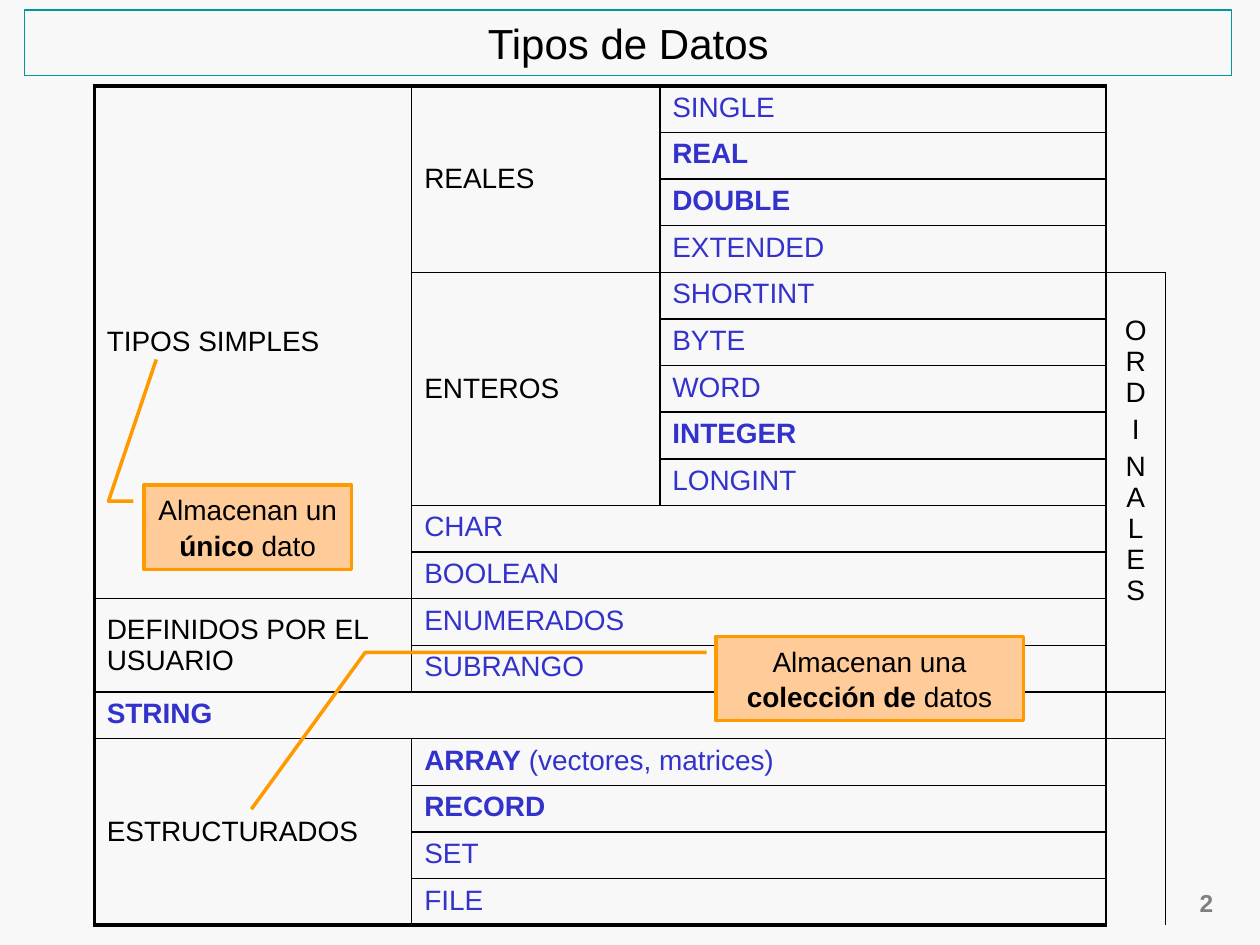
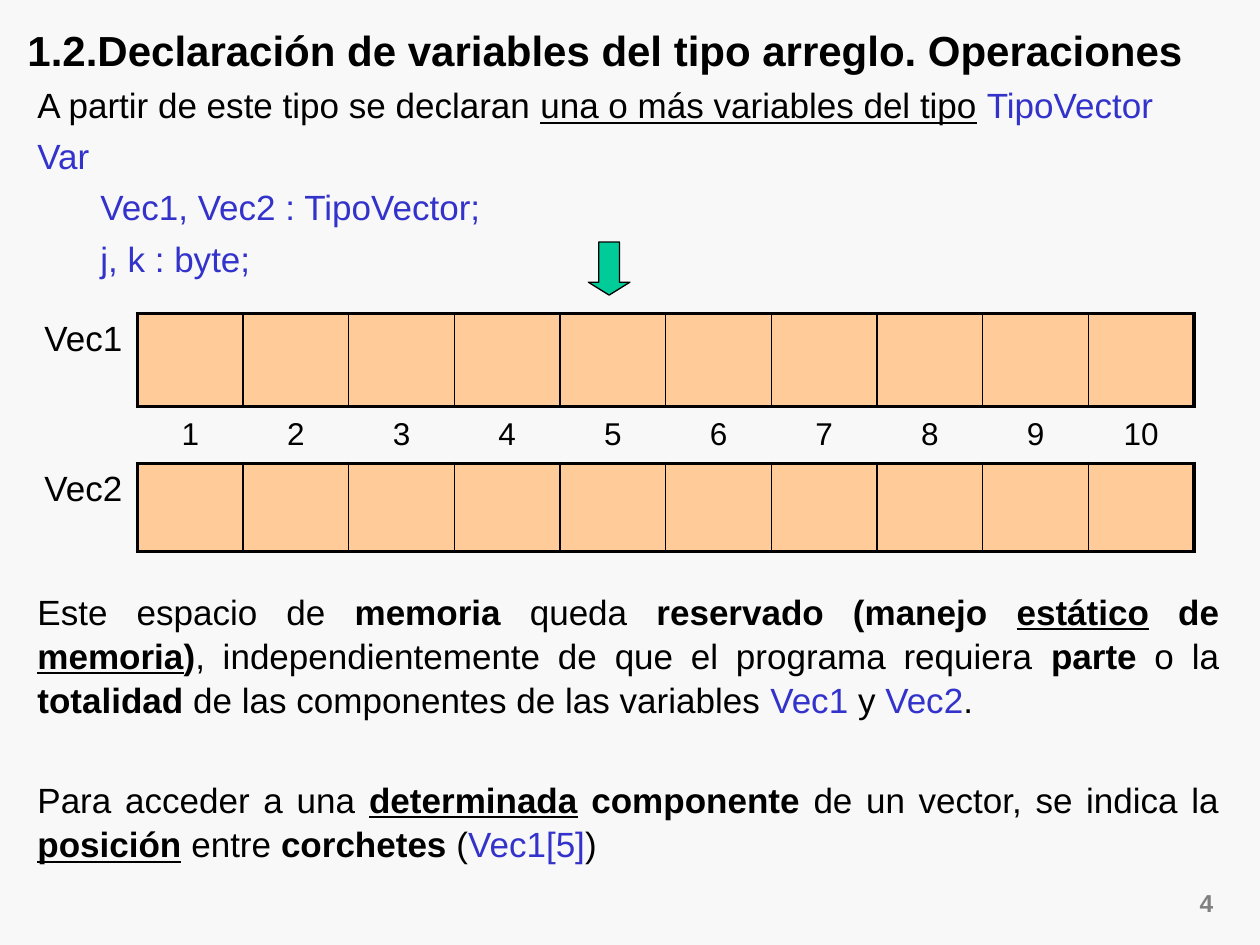
from lxml import etree
from pptx import Presentation, util as u
from pptx.dml.color import RGBColor
from pptx.enum import shapes, text
from pptx.oxml import ns

PAPER = RGBColor(0xF8, 0xF8, 0xF8)
BLACK = RGBColor(0x00, 0x00, 0x00)
GREY = RGBColor(0x80, 0x80, 0x80)
CODE = RGBColor(0x33, 0x33, 0xCC)
TEAL = RGBColor(0x00, 0x99, 0x99)
PEACH = RGBColor(0xFF, 0xCC, 0x99)
ORANGE = RGBColor(0xFF, 0x99, 0x00)
GREEN = RGBColor(0x00, 0xCC, 0x99)

FONT = "Arial"
THIN, THICK = 1, 2.25
PLAIN_TABLE = "{2D5ABB26-0587-4C30-8999-92F81FD0307C}"
LEFT, CENTER, RIGHT, JUSTIFY = (
    text.PP_ALIGN.LEFT, text.PP_ALIGN.CENTER, text.PP_ALIGN.RIGHT, text.PP_ALIGN.JUSTIFY)
TOP, MIDDLE = text.MSO_ANCHOR.TOP, text.MSO_ANCHOR.MIDDLE


def box(*lengths):
    return [u.Cm(length) for length in lengths]


class Deck:
    def __init__(self):
        self.prs = Presentation()
        self.prs.slide_width, self.prs.slide_height = box(25.4, 19.05)
        background = self.prs.slide_master.background.fill
        background.solid()
        background.fore_color.rgb = PAPER
        self.slide = None

    def new_slide(self, layout, number):
        self.slide = self.prs.slides.add_slide(self.prs.slide_layouts[layout])
        page = self.slide.shapes.add_textbox(*box(23.06, 17.78, 1.65, 0.84))
        page.text_frame.word_wrap = True
        self.add_runs(page.text_frame.paragraphs[0], [(number, "b")], 14, RIGHT, color=GREY)

    def add_runs(self, paragraph, runs, size, align=LEFT, color=BLACK, spacing=None, before=None):
        paragraph.alignment = align
        paragraph.space_before = u.Pt(round(size * 0.2, 1) if before is None else before)
        if spacing:
            paragraph.line_spacing = spacing
        for words, marks in runs:
            run = paragraph.add_run()
            run.text = words
            font = run.font
            font.name, font.size = FONT, u.Pt(size)
            font.bold, font.underline = "b" in marks, "u" in marks
            font.color.rgb = CODE if "c" in marks else color

    def place(self, placeholder, area, anchor):
        placeholder.left, placeholder.top, placeholder.width, placeholder.height = box(*area)
        frame = placeholder.text_frame
        frame.auto_size = text.MSO_AUTO_SIZE.NONE
        frame.word_wrap = True
        frame.vertical_anchor = anchor
        return frame

    def title(self, words, area, marks="", align=LEFT, anchor=TOP, outline=None):
        heading = self.slide.shapes.title
        frame = self.place(heading, area, anchor)
        self.add_runs(frame.paragraphs[0], [(words, marks)], 24, align, before=0)
        if outline:
            heading.line.color.rgb = outline
            heading.line.width = u.Pt(0.75)

    def body(self, index, area, paragraphs):
        frame = self.place(self.slide.placeholders[index], area, TOP)
        for position, (runs, level, before) in enumerate(paragraphs):
            paragraph = frame.add_paragraph() if position else frame.paragraphs[0]
            paragraph.level = level
            self.add_runs(paragraph, runs, 20, JUSTIFY, spacing=1.05, before=before)
            properties = paragraph._p.get_or_add_pPr()
            properties.set("marL", str(level * u.Cm(1.27)))
            properties.set("indent", "0")
            etree.SubElement(properties, ns.qn("a:buNone"))

    def shape(self, kind, area, adjustments, fill, line, weight):
        figure = self.slide.shapes.add_shape(kind, *box(*area))
        figure.shadow.inherit = False
        for index, value in enumerate(adjustments):
            figure.adjustments[index] = value
        figure.fill.solid()
        figure.fill.fore_color.rgb = fill
        figure.line.color.rgb = line
        figure.line.width = u.Pt(weight)
        return figure

    def callout(self, area, pointer, runs):
        note = self.shape(shapes.MSO_SHAPE.LINE_CALLOUT_2, area, pointer, PEACH, ORANGE, 2)
        frame = note.text_frame
        frame.word_wrap = True
        frame.vertical_anchor = TOP
        self.add_runs(frame.paragraphs[0], runs, 16, CENTER, spacing=1.05)

    def table(self, left, top, widths, heights):
        frame = self.slide.shapes.add_table(
            len(heights), len(widths), *box(left, top, sum(widths), sum(heights)))
        grid = frame.table
        grid.first_row = grid.horz_banding = False
        grid._tbl.tblPr.find(ns.qn("a:tableStyleId")).text = PLAIN_TABLE
        for column, width in zip(grid.columns, widths):
            column.width = u.Cm(width)
        for row, height in zip(grid.rows, heights):
            row.height = u.Cm(height)
        return grid

    def cell(self, cell, paragraphs, size, align=LEFT, anchor=TOP, fill=None, edges=None):
        self.borders(cell, edges or {})
        if fill is None:
            cell.fill.background()
        else:
            cell.fill.solid()
            cell.fill.fore_color.rgb = fill
        cell.vertical_anchor = anchor
        frame = cell.text_frame
        for position, runs in enumerate(paragraphs):
            paragraph = frame.add_paragraph() if position else frame.paragraphs[0]
            self.add_runs(paragraph, runs, size, align)
        if not paragraphs:
            etree.SubElement(frame.paragraphs[0]._p, ns.qn("a:endParaRPr"), sz=str(size * 100))

    def borders(self, cell, edges):
        properties = cell._tc.get_or_add_tcPr()
        for side in "LRTB":
            if side in edges:
                line = etree.SubElement(
                    properties, ns.qn("a:ln" + side), w=str(u.Pt(edges[side])))
                fill = etree.SubElement(line, ns.qn("a:solidFill"))
                etree.SubElement(fill, ns.qn("a:srgbClr"), val=str(BLACK))


def data_types(deck):
    deck.new_slide(5, "2")
    deck.title("Tipos de Datos", (0.5, 0.2, 24.33, 1.32), align=CENTER, anchor=MIDDLE,
               outline=TEAL)

    rows, ordinal_rows = 18, range(4, 13)
    types_grid = deck.table(1.9, 1.73, [6.4, 5, 9, 1.19], [0.94] * rows)
    categories = [
        (0, 0, 11, 1, "TIPOS SIMPLES"), (0, 1, 4, 1, "REALES"), (4, 1, 5, 1, "ENTEROS"),
        (11, 0, 2, 1, "DEFINIDOS POR EL USUARIO"), (14, 0, 4, 1, "ESTRUCTURADOS"),
    ]
    numeric = [("SINGLE", ""), ("REAL", "b"), ("DOUBLE", "b"), ("EXTENDED", ""),
               ("SHORTINT", ""), ("BYTE", ""), ("WORD", ""), ("INTEGER", "b"), ("LONGINT", "")]
    others = {9: [("CHAR", "c")], 10: [("BOOLEAN", "c")], 11: [("ENUMERADOS", "c")],
              12: [("SUBRANGO", "c")], 14: [("ARRAY", "bc"), (" (vectores, matrices)", "c")],
              15: [("RECORD", "bc")], 16: [("SET", "c")], 17: [("FILE", "c")]}

    blocks = [(row, col, high, wide, [[(name, "")]], LEFT, MIDDLE)
              for row, col, high, wide, name in categories]
    blocks += [(row, 2, 1, 1, [[(name, marks + "c")]], LEFT, TOP)
               for row, (name, marks) in enumerate(numeric)]
    blocks += [(row, 1, 1, 2, [runs], LEFT, TOP) for row, runs in others.items()]
    blocks.append((13, 0, 1, 3, [[("STRING", "bc")]], LEFT, TOP))
    blocks.append((ordinal_rows.start, 3, len(ordinal_rows), 1,
                   [[(part, "")] for part in ("ORD", "I", "NALES")], CENTER, TOP))

    for row, col, high, wide, paragraphs, align, anchor in blocks:
        edges = {"L": THIN if col else THICK, "R": THIN,
                 "T": THIN if row else THICK,
                 "B": THICK if row + high == rows else THIN}
        origin = types_grid.cell(row, col)
        if high * wide > 1:
            origin.merge(types_grid.cell(row + high - 1, col + wide - 1))
        deck.cell(origin, paragraphs, 16, align, anchor, edges=edges)
        for r in range(row, row + high):
            for c in range(col, col + wide):
                if (r, c) != (row, col):
                    deck.borders(types_grid.cell(r, c), edges)
    types_grid.cell(ordinal_rows.start, 3).margin_top = u.Cm(0.87)

    for row in set(range(rows)) - set(ordinal_rows):
        edges = {"L": THIN}
        if row == ordinal_rows.start - 1:
            edges["B"] = THIN
        if row == ordinal_rows.stop:
            edges["T"] = THIN
        deck.cell(types_grid.cell(row, 3), [], 16, edges=edges)

    deck.callout((2.9, 9.78, 4.19, 1.7), (0.19, -0.05, 0.19, -0.17, -1.49, 0.06),
                 [("Almacenan un ", ""), ("único", "b"), (" dato", "")])
    deck.callout((14.43, 12.83, 6.2, 1.7), (0.19, -0.03, 0.19, -1.14, 2.05, -1.51),
                 [("Almacenan una ", ""), ("colección de", "b"), (" datos", "")])


def array_variables(deck):
    deck.new_slide(3, "4")
    deck.title("1.2.Declaración de variables del tipo arreglo. Operaciones",
               (0.3, 0.36, 24.54, 1.3), marks="b")
    deck.body(1, (0.5, 1.52, 24.33, 4.19), [
        ([("A partir de este tipo se declaran ", ""), ("una o más variables del tipo", "u"),
          (" ", ""), ("TipoVector", "c")], 0, 4),
        ([("Var", "c")], 0, 4),
        ([("Vec1, Vec2 : TipoVector;", "c")], 1, 4),
        ([("j, k : byte;", "c")], 1, 4),
    ])
    deck.body(2, (0.5, 11.73, 24.33, 5.74), [
        ([("Este espacio de ", ""), ("memoria", "b"), (" queda ", ""),
          ("reservado (manejo ", "b"), ("estático", "bu"), (" de ", "b"), ("memoria", "bu"),
          (")", "b"), (", independientemente de que el programa requiera ", ""),
          ("parte", "b"), (" o la ", ""), ("totalidad", "b"),
          (" de las componentes de las variables ", ""), ("Vec1", "c"), (" y ", ""),
          ("Vec2", "c"), (".", "")], 0, 4),
        ([("Para acceder a una ", ""), ("determinada", "bu"), (" ", ""), ("componente", "b"),
          (" de un vector, se indica la ", ""), ("posición", "bu"), (" entre ", ""),
          ("corchetes", "b"), (" (", ""), ("Vec1[5]", "c"), (")", "")], 0, 32),
    ])

    size = 10
    vectors = deck.table(0.64, 6.32, [2.13] * (size + 1), [1.88, 1.14, 1.78])
    for row, name in ((0, "Vec1"), (2, "Vec2")):
        deck.cell(vectors.cell(row, 0), [[(name, "")]], 20, edges={"R": THICK})
        for position in range(1, size + 1):
            edges = {"L": THICK if position == 1 else THIN,
                     "R": THICK if position == size else THIN, "T": THICK, "B": THICK}
            deck.cell(vectors.cell(row, position), [], 20, fill=PEACH, edges=edges)
    deck.cell(vectors.cell(1, 0), [], 18)
    for position in range(1, size + 1):
        deck.cell(vectors.cell(1, position), [[(str(position), "")]], 18, CENTER, MIDDLE,
                  edges={"T": THICK, "B": THICK})

    deck.shape(shapes.MSO_SHAPE.DOWN_ARROW, (11.86, 4.88, 0.84, 1.07), (0.5, 0.31),
               GREEN, BLACK, 0.75)


def main():
    deck = Deck()
    data_types(deck)
    array_variables(deck)
    deck.prs.save("out.pptx")


if __name__ == "__main__":
    main()
